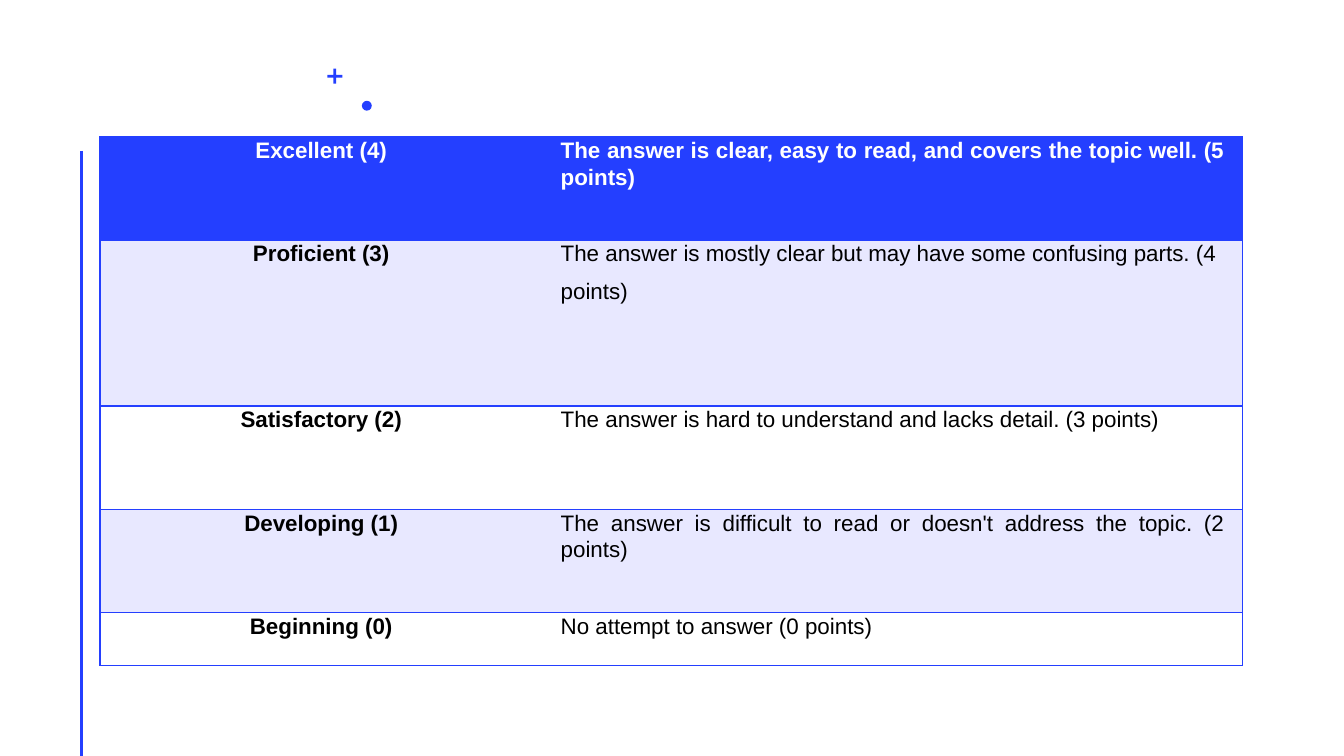
import pptx
import pptx.dml.color
import pptx.enum.shapes
import pptx.enum.text
import pptx.oxml.ns
import pptx.util
from dataclasses import dataclass
from lxml import etree

Cm = pptx.util.Cm
Pt = pptx.util.Pt
SHAPE = pptx.enum.shapes.MSO_SHAPE
ALIGN = pptx.enum.text.PP_ALIGN
qn = pptx.oxml.ns.qn


@dataclass(frozen=True)
class Theme:
    accent: str = "243FFF"
    band: str = "E8E8FF"
    white: str = "FFFFFF"
    black: str = "000000"
    font: str = "Arial"
    text_size: float = 16
    border: float = 1
    rule: float = 2


THEME = Theme()

# Each level: label, paragraphs of its description, row height in cm
LEVELS = [
    ("Excellent (4)",
     ["The answer is clear, easy to read, and covers the topic well. (5 points)"], 2.6),
    ("Proficient (3)",
     ["The answer is mostly clear but may have some confusing parts. (4 ", "points)"], 4.18),
    ("Satisfactory (2)",
     ["The answer is hard to understand and lacks detail. (3 points)"], 2.6),
    ("Developing (1)",
     ["The answer is difficult to read or doesn't address the topic. (2 points)"], 2.6),
    ("Beginning (0)", ["No attempt to answer (0 points)"], 1.33),
]


def rgb(value):
    return pptx.dml.color.RGBColor.from_string(value)


def add_mark(s, kind, left, top, size):
    sp = s.shapes.add_shape(kind, Cm(left), Cm(top), Cm(size), Cm(size))
    sp.shadow.inherit = False
    sp.fill.solid()
    sp.fill.fore_color.rgb = rgb(THEME.accent)
    sp.line.fill.background()
    return sp


def add_ornament(s, left, top, width, height):
    """Plus at the top left of the box, dot at the bottom right."""
    plus = add_mark(s, SHAPE.CROSS, left, top, 0.38)
    plus.adjustments[0] = 0.41
    dot = 0.25
    add_mark(s, SHAPE.OVAL, left + width - dot, top + height - dot, dot)


def add_side_rule(s, left, top, height):
    line = s.shapes.add_connector(
        pptx.enum.shapes.MSO_CONNECTOR.STRAIGHT,
        Cm(left), Cm(top), Cm(left), Cm(top + height))
    line.line.color.rgb = rgb(THEME.accent)
    line.line.width = Pt(THEME.rule)
    etree.SubElement(line._element.spPr, qn("a:effectLst"))


def set_borders(cell, hidden):
    """Outline a cell, leaving the named edge open."""
    tcPr = cell._tc.get_or_add_tcPr()
    for edge in ("lnL", "lnR", "lnT", "lnB"):
        ln = etree.SubElement(tcPr, qn("a:" + edge), w=str(int(Pt(THEME.border))))
        if edge == hidden:
            etree.SubElement(ln, qn("a:noFill"))
        else:
            fill = etree.SubElement(ln, qn("a:solidFill"))
            etree.SubElement(fill, qn("a:srgbClr"), val=THEME.accent)


def fill_cell(cell, texts, align, bold, color, fill, hidden):
    set_borders(cell, hidden)
    cell.fill.solid()
    cell.fill.fore_color.rgb = rgb(fill)
    cell.margin_left = cell.margin_right = Cm(0.46)
    cell.margin_top = cell.margin_bottom = 0
    tf = cell.text_frame
    for i, text in enumerate(texts):
        p = tf.add_paragraph() if i else tf.paragraphs[0]
        p.alignment = align
        p.line_spacing = 1.07
        p.space_after = Pt(8)
        r = p.add_run()
        r.text = text
        r.font.name = THEME.font
        r.font.size = Pt(THEME.text_size)
        r.font.bold = bold
        r.font.color.rgb = rgb(color)


def add_rubric(s, left, top, width):
    height = sum(level[2] for level in LEVELS)
    table = s.shapes.add_table(
        len(LEVELS), 2, Cm(left), Cm(top), Cm(width), Cm(height)).table
    table.first_row = table.horz_banding = False
    label_width = 11.15
    table.columns[0].width = Cm(label_width)
    table.columns[1].width = Cm(width - label_width)

    for i, (label, description, row_height) in enumerate(LEVELS):
        table.rows[i].height = Cm(row_height)
        header = i == 0
        color = THEME.white if header else THEME.black
        fill = THEME.accent if header else THEME.band if i % 2 else THEME.white
        fill_cell(table.cell(i, 0), [label], ALIGN.CENTER, True, color, fill, "lnR")
        fill_cell(table.cell(i, 1), description, ALIGN.JUSTIFY, header, color, fill, "lnL")


def main():
    prs = pptx.Presentation()
    prs.slide_width, prs.slide_height = Cm(33.87), Cm(19.05)
    s = prs.slides.add_slide(prs.slide_layouts[6])
    s.background.fill.solid()
    s.background.fill.fore_color.rgb = rgb(THEME.white)

    # Decoration
    add_ornament(s, 8.25, 1.73, 1.12, 1.06)
    add_side_rule(s, 2.06, 3.8, 15.25)

    # Scoring table
    add_rubric(s, 2.52, 3.45, 28.8)
    prs.save("out.pptx")


if __name__ == "__main__":
    main()
